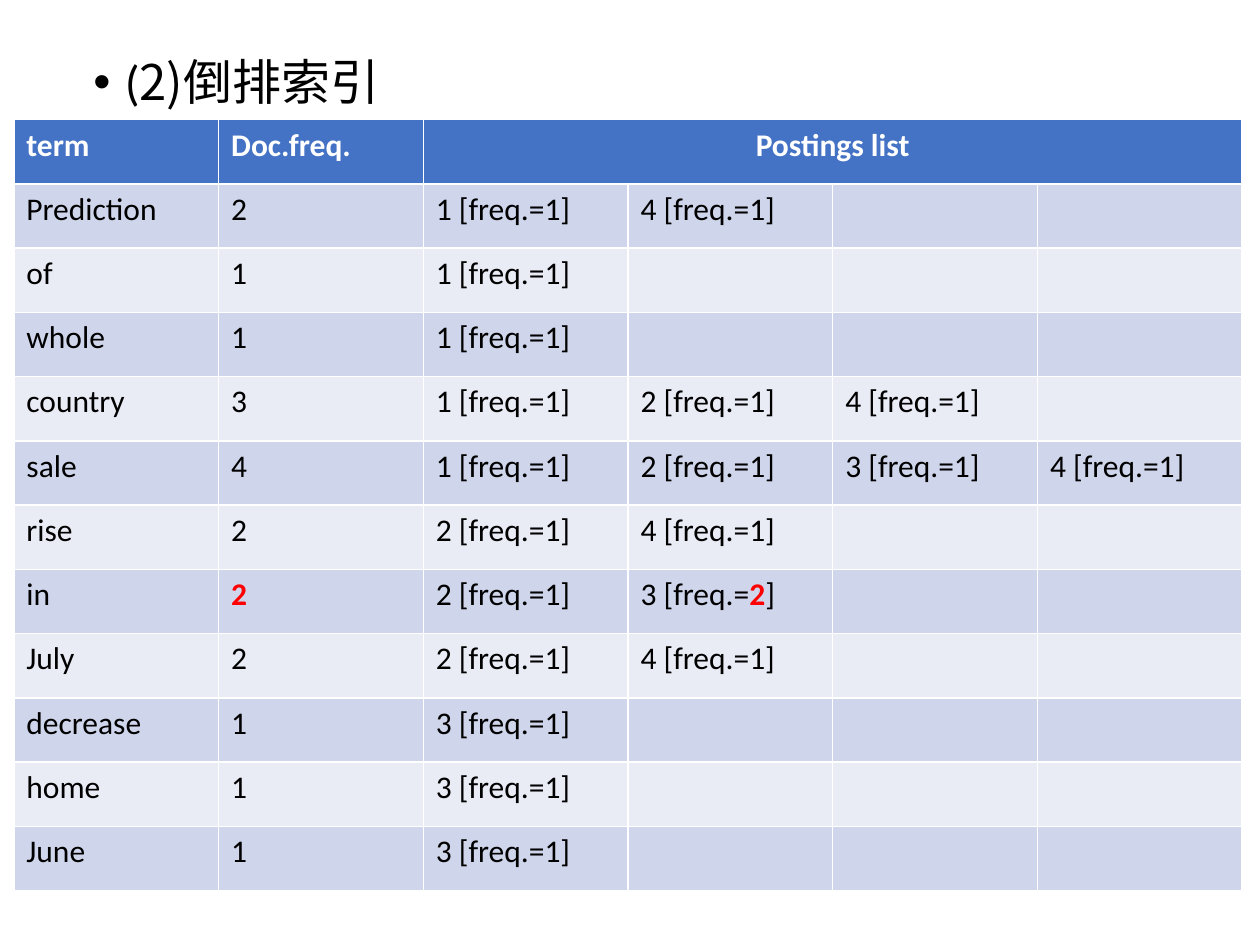
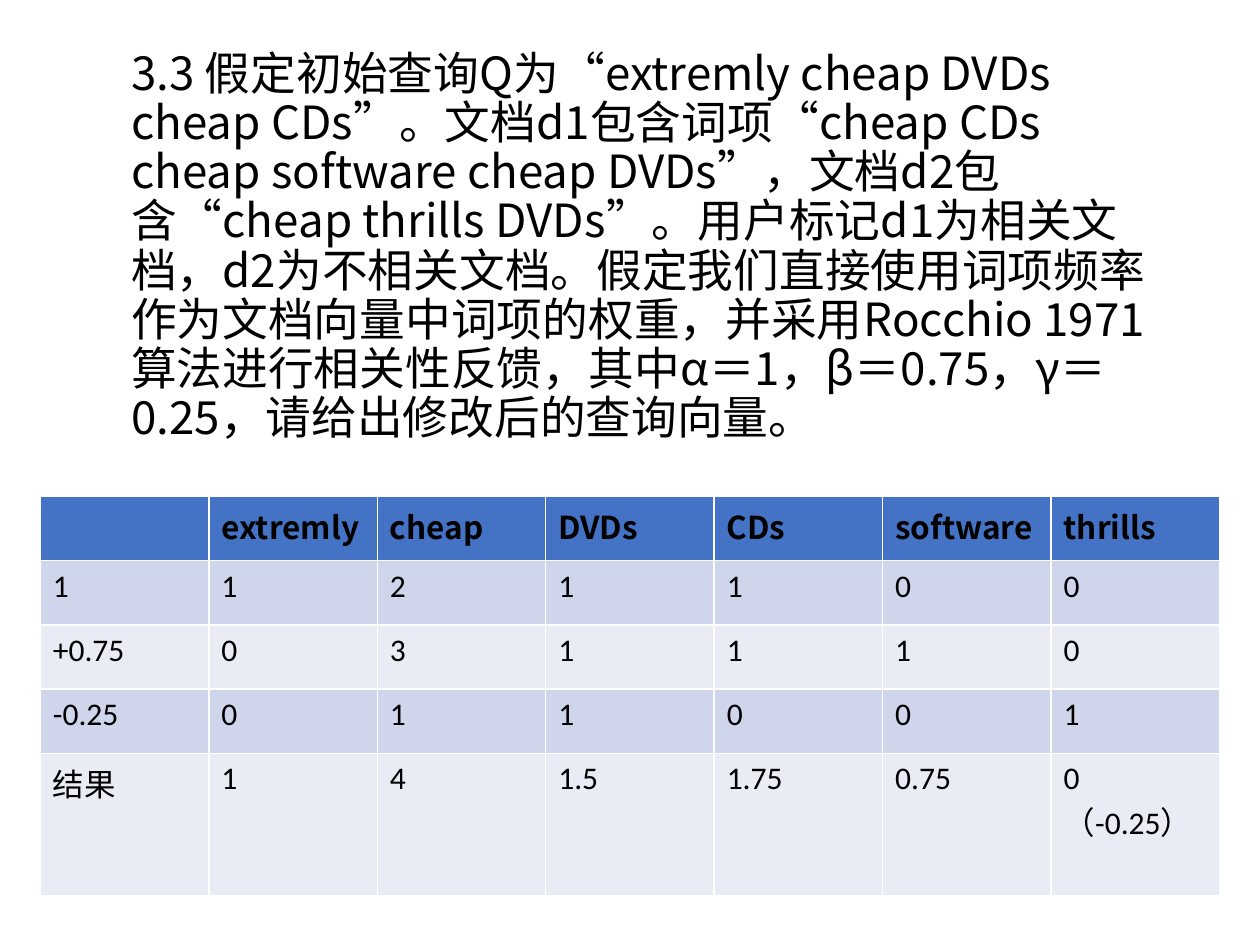
from lxml import etree
from pptx import Presentation
from pptx import util as u
from pptx.dml.color import RGBColor
from pptx.enum import text
from pptx.oxml.ns import qn

COLORS = {
    "header": "4472C4",
    "odd_row": "CFD5EA",
    "even_row": "E9EBF5",
    "white": "FFFFFF",
    "black": "000000",
    "mark": "FF0000",
}
LATIN, CHINESE = "Calibri", "Noto Sans CJK SC"
ROW_HEIGHT = 0.51
HANGING = u.Inches(0.25)
TITLE_AND_CONTENT, TITLE_ONLY = 1, 5

# Each term with its postings: (document, frequency)
POSTINGS = {
    "Prediction": [(1, 1), (4, 1)],
    "of": [(1, 1)],
    "whole": [(1, 1)],
    "country": [(1, 1), (2, 1), (4, 1)],
    "sale": [(1, 1), (2, 1), (3, 1), (4, 1)],
    "rise": [(2, 1), (4, 1)],
    "in": [(2, 1), (3, 2)],
    "July": [(2, 1), (4, 1)],
    "decrease": [(3, 1)],
    "home": [(3, 1)],
    "June": [(3, 1)],
}
QUESTION = (
    "3.3 假定初始查询Q为“extremly cheap DVDs cheap CDs”。"
    "文档d1包含词项“cheap CDs cheap software cheap DVDs”，"
    "文档d2包含“cheap thrills DVDs”。用户标记d1为相关文档，d2为不相关文档。"
    "假定我们直接使用词项频率作为文档向量中词项的权重，"
    "并采用Rocchio 1971算法进行相关性反馈，其中α＝1，β＝0.75，γ＝0.25，"
    "请给出修改后的查询向量。"
)
ROCCHIO = [
    ["", "extremly", "cheap", "DVDs", "CDs", "software", "thrills"],
    ["1", "1", "2", "1", "1", "0", "0"],
    ["+0.75", "0", "3", "1", "1", "1", "0"],
    ["-0.25", "0", "1", "1", "0", "0", "1"],
    ["结果", "1", "4", "1.5", "1.75", "0.75", "0（-0.25）"],
]


def color(name):
    return RGBColor.from_string(COLORS[name])


def set_font(font, size, name=LATIN, color_name="black", bold=False):
    font.size, font.name, font.bold = u.Pt(size), name, bold
    font.color.rgb = color(color_name)


def place(shape, left, top, width, height):
    shape.left, shape.top = u.Inches(left), u.Inches(top)
    shape.width, shape.height = u.Inches(width), u.Inches(height)
    shape.text_frame.word_wrap = True
    shape.text_frame.auto_size = text.MSO_AUTO_SIZE.NONE


def set_indent(paragraph, first_line=0, bullet=None):
    """Indent the paragraph; a bullet hangs to the left of its text."""
    properties = paragraph._p.get_or_add_pPr()
    properties.set("marL", str(HANGING))
    properties.set("indent", str(first_line))
    paragraph.space_before = u.Pt(0)
    if bullet:
        etree.SubElement(properties, qn("a:buChar")).set("char", bullet)


def fill_cell(cell, content, fill, **font):
    """Write a cell; parts between asterisks are bold and red."""
    cell.fill.solid()
    cell.fill.fore_color.rgb = color(fill)
    paragraph = cell.text_frame.paragraphs[0]
    for index, part in enumerate(content.split("*")):
        if part:
            run = paragraph.add_run()
            run.text = part
            if index % 2:
                run.font.bold = True
                run.font.color.rgb = color("mark")
    set_font(paragraph.font, 18, **font)


def add_grid(slide, rows, left, top, width, header_font):
    table = slide.shapes.add_table(
        len(rows), len(rows[0]), u.Inches(left), u.Inches(top),
        u.Inches(width), u.Inches(ROW_HEIGHT * len(rows)),
    ).table
    for row_index, row in enumerate(rows):
        for column_index, content in enumerate(row):
            cell = table.cell(row_index, column_index)
            if row_index == 0:
                fill_cell(cell, content, "header", bold=True, **header_font)
            else:
                fill_cell(cell, content, "odd_row" if row_index % 2 else "even_row")
    return table


def posting_rows():
    columns = max(map(len, POSTINGS.values()))
    rows = [["term", "Doc.freq.", "Postings list"] + [""] * (columns - 1)]
    for term, postings in POSTINGS.items():
        repeated = any(frequency > 1 for _, frequency in postings)
        count = f"*{len(postings)}*" if repeated else str(len(postings))
        entries = [
            f"{document} [freq.={f'*{frequency}*' if frequency > 1 else frequency}]"
            for document, frequency in postings
        ]
        rows.append([term, count] + entries + [""] * (columns - len(entries)))
    return rows


def add_index_slide(presentation):
    slide = presentation.slides.add_slide(presentation.slide_layouts[TITLE_AND_CONTENT])
    title = slide.shapes.title._element
    title.getparent().remove(title)
    body = slide.placeholders[1]
    place(body, 0.64, 0.41, 8.67, 6.35)
    paragraph = body.text_frame.paragraphs[0]
    paragraph.line_spacing = 0.9
    set_indent(paragraph, -HANGING, "•")
    for part, name in (("(", LATIN), ("2)倒排索引", CHINESE)):
        run = paragraph.add_run()
        run.text = part
        set_font(run.font, 28, name)

    table = add_grid(slide, posting_rows(), 0.11, 0.95, 9.75, {"color_name": "white"})
    heading = table.cell(0, 2)
    heading.merge(table.cell(0, 5))
    heading.text_frame.paragraphs[0].alignment = text.PP_ALIGN.CENTER


def add_feedback_slide(presentation):
    slide = presentation.slides.add_slide(presentation.slide_layouts[TITLE_ONLY])
    title = slide.shapes.title
    place(title, 0.69, 0.59, 8.62, 3.35)
    frame = title.text_frame
    frame.vertical_anchor = text.MSO_ANCHOR.MIDDLE
    frame.margin_bottom = u.Inches(0.66)
    frame.text = QUESTION
    paragraph = frame.paragraphs[0]
    paragraph.alignment = text.PP_ALIGN.LEFT
    paragraph.line_spacing = u.Pt(28.1)
    set_indent(paragraph)
    set_font(paragraph.font, 26.1, CHINESE)

    add_grid(slide, ROCCHIO, 0.32, 3.94, 9.36, {"name": CHINESE})


def main():
    presentation = Presentation()
    presentation.slide_width, presentation.slide_height = u.Inches(10), u.Inches(7.5)
    add_index_slide(presentation)
    add_feedback_slide(presentation)
    presentation.save("out.pptx")


if __name__ == "__main__":
    main()
